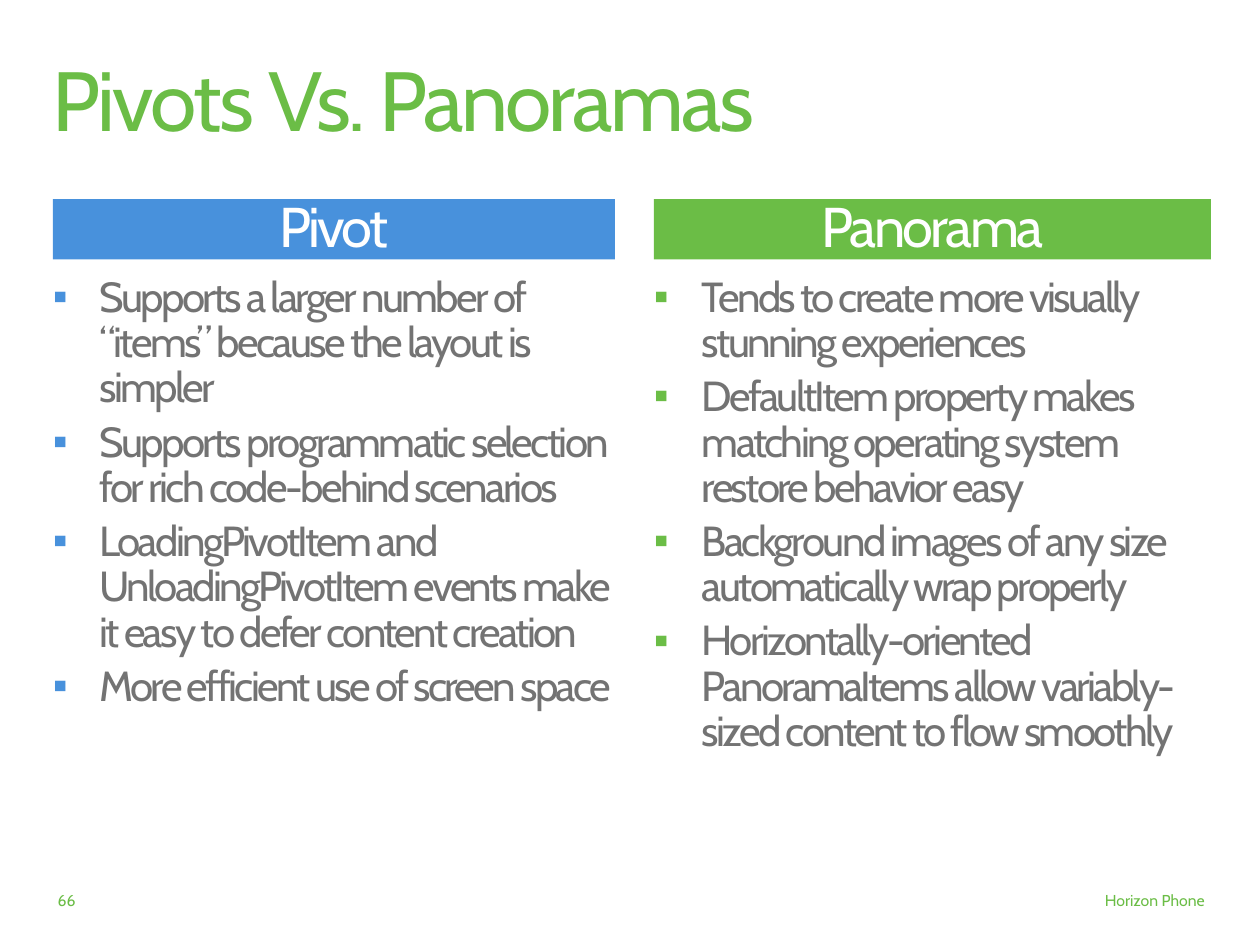
from dataclasses import dataclass

from lxml.etree import SubElement
from pptx import Presentation
from pptx.dml.color import RGBColor
from pptx.enum.shapes import MSO_SHAPE as Shape
from pptx.enum.text import MSO_ANCHOR as Anchor, MSO_AUTO_SIZE as AutoSize, PP_ALIGN as Align
from pptx.oxml.ns import qn
from pptx.util import Inches, Pt


@dataclass(frozen=True)
class Theme:
    font: str = "Cabin"
    blue: str = "4891DC"
    green: str = "6BBD46"
    gray: str = "737373"
    white: str = "FFFFFF"
    title: int = 48
    header: int = 32
    body: int = 24
    small: int = 9
    tracking: float = -1.5
    leading: float = 0.9
    bullet_gap: int = 5


THEME = Theme()
NO_INSETS = dict.fromkeys(("margin_left", "margin_top", "margin_right", "margin_bottom"), 0)


def apply_format(target, values):
    for name, value in values.items():
        setattr(target, name, value)


def add_bullet(para, indent, color):
    props = para._p.get_or_add_pPr()
    props.set("marL", str(Inches(indent)))
    props.set("indent", str(-Inches(indent)))
    bullet_color = SubElement(props, qn("a:buClr"))
    SubElement(bullet_color, qn("a:srgbClr"), val=color)
    SubElement(props, qn("a:buFont"), typeface="Arial")
    SubElement(props, qn("a:buChar"), char="▪")


def write(frame, lines, size, color, align=Align.LEFT, tight=True, bullet=None, **frame_format):
    """Fill a text frame; bullet is an (indent, color) pair, tight narrows the tracking."""
    apply_format(frame, {"word_wrap": True, **frame_format})
    for index, line in enumerate(lines):
        para = frame.add_paragraph() if index else frame.paragraphs[0]
        para_format = {"alignment": align}
        if tight:
            para_format["line_spacing"] = THEME.leading
        if index:
            para_format["space_before"] = Pt(THEME.bullet_gap)
        apply_format(para, para_format)
        if bullet:
            add_bullet(para, *bullet)
        span = para.add_run()
        span.text = line
        apply_format(span.font, {"name": THEME.font, "size": Pt(size)})
        span.font.color.rgb = RGBColor.from_string(color)
        if tight:
            span._r.get_or_add_rPr().set("spc", str(int(THEME.tracking * 100)))


def add_text(page, box, lines, size, color, **options):
    frame = page.shapes.add_textbox(*map(Inches, box)).text_frame
    write(frame, lines, size, color, **options)


def add_title(page, box, text):
    add_text(page, box, [text], THEME.title, THEME.green,
             auto_size=AutoSize.SHAPE_TO_FIT_TEXT, **NO_INSETS)


def add_column(page, box, heading, points, color, indent):
    """A coloured heading bar with a bulleted list below it."""
    left, top, width, height = box
    bar_height, list_offset = 0.48, 0.61

    # Heading bar
    bar = page.shapes.add_shape(Shape.RECTANGLE, *map(Inches, (left, top, width, bar_height)))
    bar.shadow.inherit = False
    bar.fill.solid()
    bar.fill.fore_color.rgb = RGBColor.from_string(color)
    bar.line.fill.background()
    write(bar.text_frame, [heading], THEME.header, THEME.white, align=Align.CENTER,
          vertical_anchor=Anchor.TOP, **NO_INSETS)

    # Bulleted list
    add_text(page, (left, top + list_offset, width, height - list_offset), points,
             THEME.body, THEME.gray, bullet=(indent, color),
             auto_size=AutoSize.SHAPE_TO_FIT_TEXT, **NO_INSETS)


def add_footer(page, number_box, label_box, number, label):
    style = {"size": THEME.small, "color": THEME.green, "align": Align.RIGHT, "tight": False}
    add_text(page, number_box, [number], vertical_anchor=Anchor.MIDDLE, **NO_INSETS, **style)
    add_text(page, label_box, [label], **style)


def main():
    deck = Presentation()
    apply_format(deck, {"slide_width": Inches(10), "slide_height": Inches(7.5)})
    page = deck.slides.add_slide(deck.slide_layouts[6])

    add_title(page, (0.42, 0.47, 9.15, 0.73), "Pivots Vs. Panoramas")
    add_column(page, (0.42, 1.58, 4.46, 4.12), "Pivot", [
        "Supports a larger number of “items” because the layout is simpler",
        "Supports programmatic selection for rich code-behind scenarios",
        "LoadingPivotItem and UnloadingPivotItem events make it easy to defer content creation",
        "More efficient use of screen space",
    ], THEME.blue, 0.37)
    add_column(page, (5.19, 1.58, 4.42, 4.49), "Panorama", [
        "Tends to create more visually stunning experiences",
        "DefaultItem property makes matching operating system restore behavior easy",
        "Background images of any size automatically wrap properly",
        "Horizontally-oriented PanoramaItems allow variably-sized content to flow smoothly",
    ], THEME.green, 0.38)
    add_footer(page, (0, 7.02, 0.6, 0.25), (6.33, 7.02, 3.33, 0.25), "66", "Horizon Phone")

    deck.save("out.pptx")


if __name__ == "__main__":
    main()
